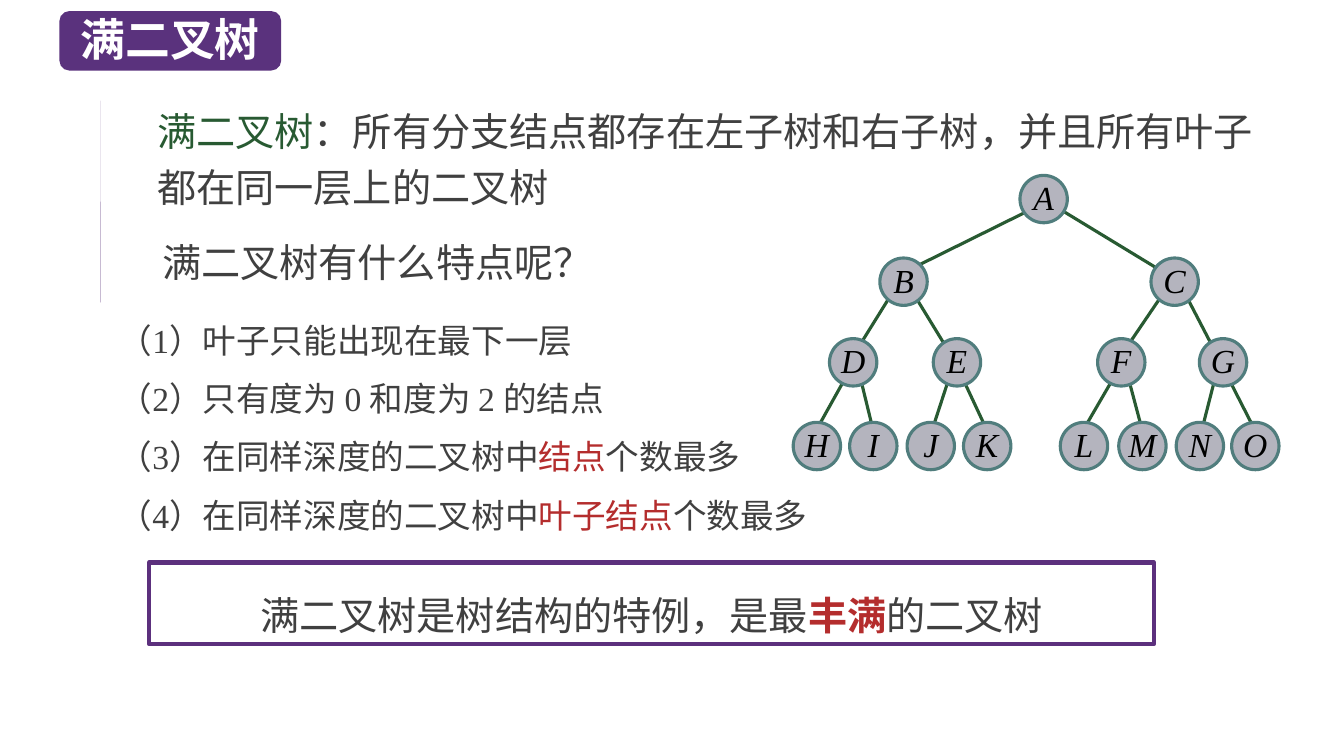
from pptx import Presentation
from pptx.dml.color import RGBColor
from pptx.enum.shapes import MSO_CONNECTOR, MSO_SHAPE
from pptx.enum.text import MSO_ANCHOR, MSO_AUTO_SIZE, PP_ALIGN
from pptx.oxml.ns import qn
from pptx.util import Cm, Pt
from lxml.etree import SubElement

SANS, SERIF = "Noto Sans CJK SC", "Times New Roman"
PURPLE, GREEN, RED, GREY = "5A327D", "285A32", "B42D2D", "404040"

# Runs are (text, overrides); all lengths below are in inches
DEFINITION = [("满二叉树", {"color": GREEN}),
              ("：所有分支结点都存在左子树和右子树，并且所有叶子都在同一层上的二叉树", {})]
SUMMARY = [("满二叉树是树结构的特例，是最", {}), ("丰满", {"color": RED, "bold": True}),
           ("的二叉树", {})]
SAME_DEPTH = ("在同样深度的二叉树中", {"font": SANS})
MOST = ("个数最多", {"font": SANS})
FEATURES = [
    [("（1）", {}), ("叶子只能出现在最下一层", {"font": SANS})],
    [("（2）只有度为 0 和度为 2 的结点", {})],
    [("（3）", {}), SAME_DEPTH, ("结点", {"font": SANS, "color": RED}), MOST],
    [("（4）", {}), SAME_DEPTH, ("叶子结点", {"font": SANS, "color": RED}), MOST],
]

# Tree levels: top of the circles, and left of each one
NODES = "ABCDEFGHIJKLMNO"
LEVELS = [
    (1.74, [10.12]),
    (2.56, [8.73, 11.42]),
    (3.36, [8.23, 9.26, 10.89, 11.9]),
    (4.19, [7.87, 8.43, 9, 9.56, 10.52, 11.1, 11.67, 12.22]),
]
DIAMETER = 0.47
# Per level, left then right branch: offsets from parent centre and child centre
BRANCHES = [
    [((-0.2, 0.14), (0.1, -0.14)), ((0.16, 0.1), (-0.12, -0.1))],
    [((-0.13, 0.14), (0.04, -0.13)), ((0.13, 0.17), (-0.07, -0.09))],
    [((-0.08, 0.16), (0.04, -0.24)), ((0.09, 0.23), (0, -0.15))],
]

# Icon outlines: pairs are corners, six numbers are a Bézier curve
PIN = [
    [[(1.32, 1.2), (1.17, 1.06), (1.16, 1.06), (1.11, 1.11), (1.13, 1.13), (1.06, 1.2),
      (1.05, 1.19, 1.04, 1.19, 1.02, 1.19), (0.98, 1.19, 0.93, 1.21, 0.9, 1.24),
      (0.9, 1.25), (1.12, 1.48), (1.14, 1.48), (1.18, 1.43, 1.2, 1.37, 1.18, 1.31),
      (1.25, 1.25), (1.27, 1.26), (1.32, 1.22)]],
    [[(0.86, 1.53), (0.85, 1.53), (0.85, 1.5), (1.01, 1.35),
      (1.02, 1.34, 1.02, 1.34, 1.03, 1.35), (1.03, 1.37), (0.87, 1.53)]],
]
CLOCK = [
    [[(1.31, 2.85), (1.28, 2.8), (1.27, 2.79), (1.04, 2.79), (1.04, 2.8), (1, 2.85),
      (1, 2.86), (1.02, 2.86), (1.05, 2.81), (1.26, 2.81), (1.3, 2.86), (1.31, 2.86)]],
    [[(0.99, 2.39), (0.94, 2.39, 0.9, 2.42, 0.9, 2.47), (0.9, 2.48, 0.91, 2.5, 0.92, 2.51),
      (0.93, 2.52), (0.94, 2.52), (1.06, 2.43), (1.06, 2.42),
      (1.04, 2.4, 1.02, 2.39, 0.99, 2.39)]],
    [[(1.32, 2.39), (1.3, 2.39, 1.27, 2.4, 1.25, 2.42), (1.26, 2.43), (1.38, 2.52),
      (1.39, 2.51), (1.4, 2.5, 1.41, 2.48, 1.41, 2.47),
      (1.41, 2.42, 1.37, 2.39, 1.32, 2.39)]],
    [[(1.16, 2.44), (1.05, 2.44, 0.96, 2.51, 0.96, 2.61), (0.96, 2.7, 1.05, 2.78, 1.16, 2.78),
      (1.27, 2.78, 1.35, 2.7, 1.35, 2.61), (1.35, 2.51, 1.27, 2.44, 1.16, 2.44)],
     [(1.23, 2.62), (1.16, 2.62), (1.15, 2.62, 1.14, 2.62, 1.14, 2.61), (1.14, 2.49),
      (1.14, 2.48, 1.15, 2.48, 1.16, 2.48), (1.17, 2.48, 1.17, 2.48, 1.17, 2.49),
      (1.17, 2.6), (1.23, 2.6), (1.24, 2.6, 1.25, 2.6, 1.25, 2.61),
      (1.25, 2.62, 1.24, 2.62, 1.23, 2.62)]],
]


def inch(*values):
    return [Cm(2.54 * v) for v in values]


def rgb(color):
    return RGBColor.from_string(color)


def style(sp, fill=None, line=None, width=0):
    sp.shadow.inherit = False
    if fill:
        sp.fill.solid()
        sp.fill.fore_color.rgb = rgb(fill)
    else:
        sp.fill.background()
    if line:
        sp.line.color.rgb = rgb(line)
        sp.line.width = Pt(width)
    else:
        sp.line.fill.background()


def write(sp, runs, size, font=SANS, color=GREY, spacing=None, align=PP_ALIGN.LEFT,
          bold=False, italic=False, grow=True):
    tf = sp.text_frame
    tf.word_wrap = True
    if grow:
        tf.auto_size = MSO_AUTO_SIZE.SHAPE_TO_FIT_TEXT
    p = tf.paragraphs[0]
    p.alignment = align
    if spacing:
        p.line_spacing = spacing
    p.font.size, p.font.bold, p.font.italic = Pt(size), bold, italic
    for text, change in runs:
        r = p.add_run()
        r.text = text
        r.font.color.rgb = rgb(change.get("color", color))
        r.font.name = change.get("font", font)
        if "bold" in change:
            r.font.bold = change["bold"]
        SubElement(r.font._element, qn("a:ea"), typeface=SANS)


def add_text(box, runs, size, **options):
    sp = s.shapes.add_textbox(*inch(*box))
    write(sp, runs, size, **options)
    return sp


def flatten(outline, steps=8):
    """Turn corners and Bézier curves into a plain list of points."""
    points = []
    for part in outline:
        if len(part) == 2:
            points.append(part)
            continue
        x0, y0 = points[-1]
        x1, y1, x2, y2, x3, y3 = part
        for t in (i / steps for i in range(1, steps + 1)):
            a, b, c, d = (1 - t) ** 3, 3 * t * (1 - t) ** 2, 3 * t * t * (1 - t), t ** 3
            points.append((a * x0 + b * x1 + c * x2 + d * x3,
                           a * y0 + b * y1 + c * y2 + d * y3))
    return points


def add_icon(pieces):
    for outlines in pieces:
        first, *holes = [flatten(outline) for outline in outlines]
        builder = s.shapes.build_freeform(*first[0], scale=Cm(2.54))
        builder.add_line_segments(first[1:], close=True)
        for hole in holes:
            builder.move_to(*hole[0])
            builder.add_line_segments(hole[1:], close=True)
        style(builder.convert_to_shape(), PURPLE)


def add_branch(x1, y1, x2, y2):
    line = s.shapes.add_connector(MSO_CONNECTOR.STRAIGHT, *inch(x1, y1, x2, y2))
    line.line.color.rgb = rgb(GREEN)
    line.line.width = Pt(2.25)
    SubElement(line._element.spPr, qn("a:effectLst"))


def add_tree():
    half = DIAMETER / 2
    centres = [(x + half, top + half) for top, lefts in LEVELS for x in lefts]
    for child in range(1, len(centres)):
        depth = (child + 1).bit_length() - 2
        (dx1, dy1), (dx2, dy2) = BRANCHES[depth][(child - 1) % 2]
        (px, py), (cx, cy) = centres[(child - 1) // 2], centres[child]
        add_branch(px + dx1, py + dy1, cx + dx2, cy + dy2)
    for name, (x, y) in zip(NODES, centres):
        node = s.shapes.add_shape(MSO_SHAPE.OVAL,
                                  *inch(x - half, y - half, DIAMETER, DIAMETER))
        style(node, "B4B4BE", "507D7D", 2.25)
        tf = node.text_frame
        tf.margin_left = tf.margin_right = tf.margin_top = tf.margin_bottom = 0
        tf.vertical_anchor = MSO_ANCHOR.TOP
        write(node, [(name, {})], 24, SERIF, "000000", Pt(25), PP_ALIGN.CENTER,
              italic=True, grow=False)


prs = Presentation()
prs.slide_width, prs.slide_height = Cm(33.87), Cm(19.05)
s = prs.slides.add_slide(prs.slide_layouts[6])

banner = s.shapes.add_shape(MSO_SHAPE.ROUNDED_RECTANGLE, *inch(0.59, 0.11, 2.2, 0.59))
style(banner, PURPLE)
add_text((0.7, 0.07, 2.5, 0.64), [("满二叉树", {})], 32, color="FFFFFF", bold=True)

definition = add_text((1.56, 0.93, 11.11, 1.22), DEFINITION, 28, font=SERIF, spacing=Pt(40))
definition.text_frame.margin_left = definition.text_frame.margin_right = 0
add_icon(PIN)
add_text((1.51, 2.32, 5.24, 0.57), [("满二叉树有什么特点呢？", {})], 28)
add_icon(CLOCK)

for i, runs in enumerate(FEATURES):
    add_text((1.08, 2.97 + 0.577 * i, 7.58, 0.66), runs, 24, font=SERIF, spacing=Pt(40))

summary = s.shapes.add_shape(MSO_SHAPE.RECTANGLE, *inch(1.48, 5.58, 9.97, 0.81))
style(summary, line="5C307D", width=3)
summary.text_frame.vertical_anchor = MSO_ANCHOR.MIDDLE
write(summary, SUMMARY, 28, spacing=1.5, align=PP_ALIGN.CENTER)

add_tree()
prs.save("out.pptx")
